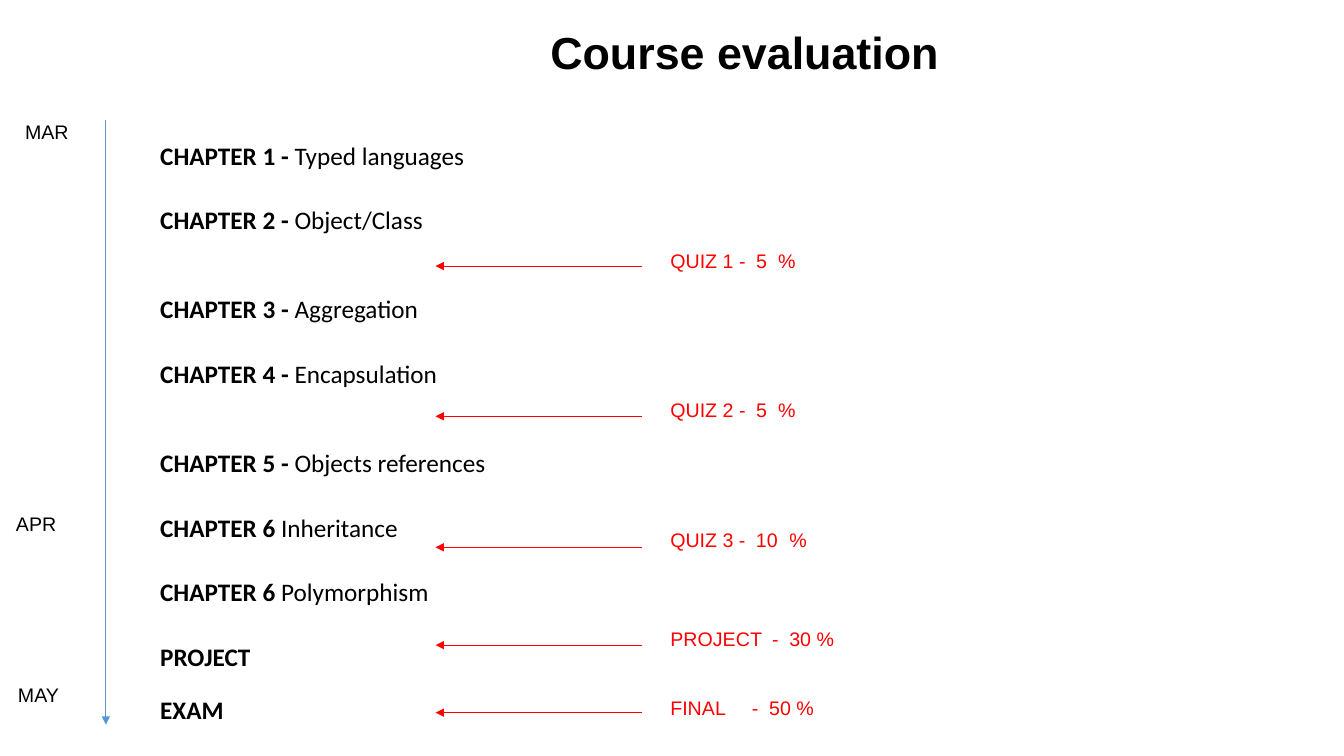
from lxml import etree
from pptx import Presentation
from pptx.dml.color import RGBColor
from pptx.enum.shapes import MSO_CONNECTOR
from pptx.enum.text import MSO_AUTO_SIZE
from pptx.oxml.ns import qn
from pptx.util import Inches, Pt

STRAIGHT = MSO_CONNECTOR.STRAIGHT
GROW = MSO_AUTO_SIZE.SHAPE_TO_FIT_TEXT
BLACK, RED, BLUE = "000000", "FF0000", "5698D3"

CHAPTERS = [
    (1.34, 3.99, 0.4, "CHAPTER 1 - ", "Typed languages"),
    (1.98, 3.99, 0.64, "CHAPTER 2 - ", "Object/Class"),
    (2.86, 4.99, 0.4, "CHAPTER 3 - ", "Aggregation"),
    (3.51, 4.52, 0.4, "CHAPTER 4 - ", "Encapsulation"),
    (4.39, 5.15, 0.4, "CHAPTER 5 - ", "Objects references"),
    (5.03, 3.33, 0.4, "CHAPTER 6 ", "Inheritance"),
    (5.67, 3.33, 0.4, "CHAPTER 6 ", "Polymorphism"),
    (6.31, 1.7, 0.4, "PROJECT", ""),
    (6.84, 1.7, 0.4, "EXAM", ""),
]
MONTHS = [
    (0.15, 1.14, 0.7, 0.4, "MAR"),
    (0.06, 5.03, 0.61, 0.34, "APR"),
    (0.08, 6.73, 0.77, 0.34, "MAY"),
]
GRADES = [
    (2.42, 2.64, 1.45, "QUIZ 1 -\t5\t%", (0.85, 1.07)),
    (3.9, 4.13, 1.45, "QUIZ 2 -\t5\t%", (0.85, 1.07)),
    (5.19, 5.43, 1.56, "QUIZ 3 -\t10\t%", (0.85, 1.18)),
    (6.17, 6.4, 1.85, "PROJECT\t-\t30 %", (1.01, 1.18)),
    (6.85, 7.07, 1.65, "FINAL\t-\t50 %", (0.81, 0.98)),
]


def rgb(value):
    """Turn a hex string into a colour."""
    return RGBColor.from_string(value)


def add_span(para, text, size=14, font="Arial", color=BLACK, bold=False):
    """Add one formatted run to a paragraph."""
    span = para.add_run()
    span.text = text
    span.font.size = Pt(size)
    span.font.name = font
    span.font.bold = bold
    span.font.color.rgb = rgb(color)


def add_text(page, left, top, width, height, text, **style):
    """Add a text box and return its paragraph."""
    box = page.shapes.add_textbox(
        Inches(left), Inches(top), Inches(width), Inches(height))
    box.text_frame.word_wrap = True
    box.text_frame.auto_size = GROW
    para = box.text_frame.paragraphs[0]
    add_span(para, text, **style)
    return para


def set_tabs(para, stops):
    """Set left tab stops, measured in inches."""
    tabs = etree.SubElement(para._p.get_or_add_pPr(), qn("a:tabLst"))
    for stop in stops:
        etree.SubElement(tabs, qn("a:tab"), pos=str(Inches(stop)), algn="l")


def add_arrow(page, start, end, color):
    """Draw a thin arrow with its head at the end point."""
    arrow = page.shapes.add_connector(
        STRAIGHT, *(Inches(value) for value in start + end))
    arrow.line.color.rgb = rgb(color)
    arrow.line.width = Pt(0.75)
    etree.SubElement(arrow.line._get_or_add_ln(), qn("a:tailEnd"), type="triangle")
    etree.SubElement(arrow._element.spPr, qn("a:effectLst"))


def add_timeline(page, left, top, height):
    """Draw the time axis and its month labels."""
    add_arrow(page, (left, top), (left, top + height), BLUE)
    for month in MONTHS:
        add_text(page, *month)


def add_chapters(page, left):
    """List the chapters down the given left edge."""
    for top, width, height, heading, topic in CHAPTERS:
        para = add_text(page, left, top, width, height, heading,
                        size=18, font="Calibri", bold=True)
        if topic:
            add_span(para, topic, size=18, font="Calibri")


def add_grades(page, left, right):
    """Draw the grade arrows between two edges, with labels beside them."""
    for top, arrow_y, width, label, stops in GRADES:
        add_arrow(page, (right, arrow_y), (left, arrow_y), RED)
        para = add_text(page, right + 0.18, top, width, 0.34, label, color=RED)
        set_tabs(para, stops)


def main():
    """Build the course evaluation slide."""
    deck = Presentation()
    deck.slide_width = Inches(13.33)
    deck.slide_height = Inches(7.5)
    page = deck.slides.add_slide(deck.slide_layouts[6])
    add_text(page, 5.36, 0.2, 5.2, 0.64, "Course evaluation", size=32, bold=True)
    add_timeline(page, 1.05, 1.19, 6)
    add_chapters(page, 1.49)
    add_grades(page, 4.32, 6.37)
    deck.save("out.pptx")


if __name__ == "__main__":
    main()
